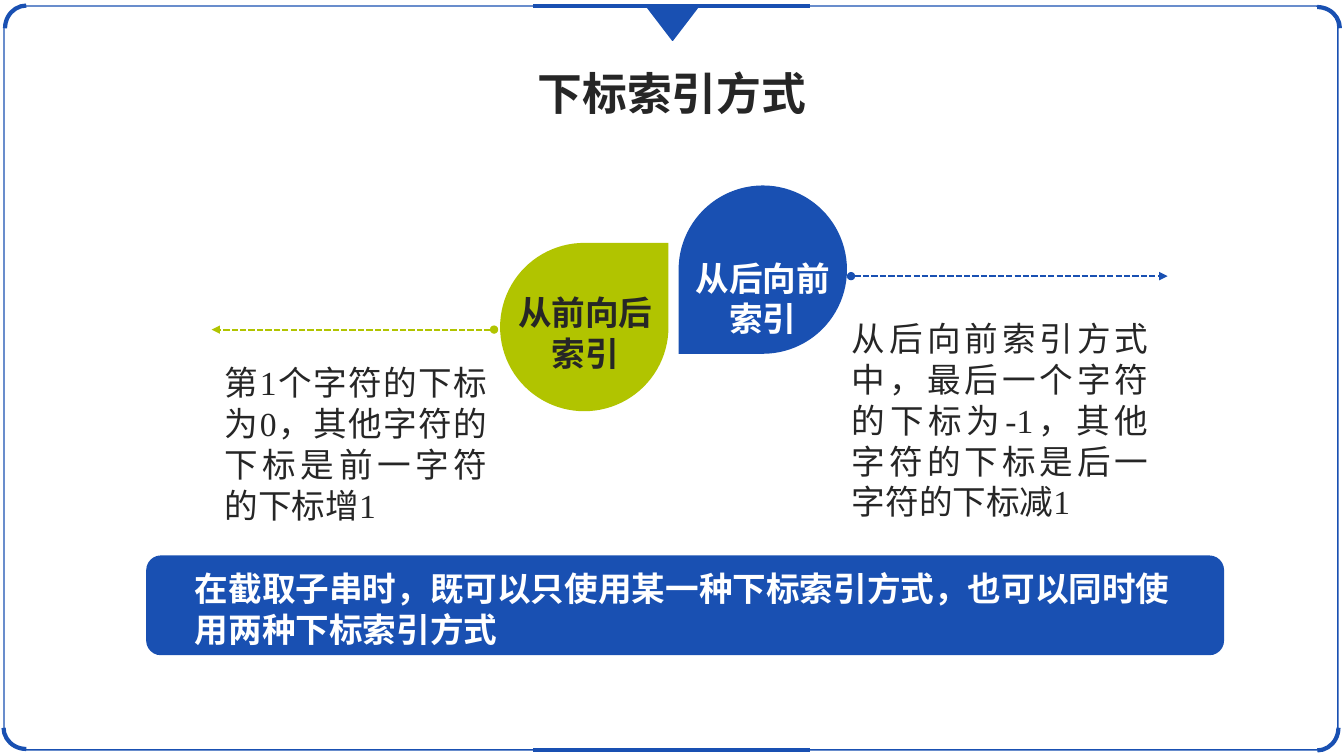
import pptx
import pptx.util
import pptx.dml.color
import pptx.enum.dml
import pptx.enum.shapes
import pptx.enum.text
import pptx.oxml
import pptx.oxml.ns

SHAPE = pptx.enum.shapes.MSO_SHAPE
ALIGN = pptx.enum.text.PP_ALIGN
ANCHOR = pptx.enum.text.MSO_ANCHOR
WIDTH, HEIGHT = pptx.util.Inches(13.33), pptx.util.Inches(7.5)
BLUE, GREEN, DARK, WHITE = "1950B2", "B1C400", "262626", "FFFFFF"
SANS, SERIF = "Noto Sans CJK SC", "Times New Roman"


def color(value):
    """Turn a hex string into a colour."""
    return pptx.dml.color.RGBColor.from_string(value)


def place(left, top, width, height):
    """Turn percentages of the slide into lengths."""
    return [round(share * side / 100) for share, side in
            zip((left, top, width, height), (WIDTH, HEIGHT) * 2)]


def apply(target, values):
    """Set every attribute named in a dict."""
    for name, value in values.items():
        setattr(target, name, value)


def add_child(parent, tag, **attributes):
    """Append a drawing element with attributes."""
    child = pptx.oxml.parse_xml(f"<a:{tag} {pptx.oxml.ns.nsdecls('a')}/>")
    for name, value in attributes.items():
        child.set(name, value)
    parent.append(child)


def write(shape, lines, text_color, size=24, font=SANS, bold=True,
          align=ALIGN.CENTER, anchor=ANCHOR.TOP, wrap=True, sides=(0.1, 0.1)):
    """Write formatted paragraphs into a shape."""
    frame = shape.text_frame
    apply(frame, {"word_wrap": wrap, "vertical_anchor": anchor,
                  "margin_left": pptx.util.Inches(sides[0]),
                  "margin_right": pptx.util.Inches(sides[1]),
                  "margin_top": pptx.util.Inches(0.08),
                  "margin_bottom": pptx.util.Inches(0.02)})
    frame.text = "\n".join(lines)
    for paragraph in frame.paragraphs:
        apply(paragraph, {"alignment": align, "line_spacing": pptx.util.Pt(size * 1.215)})
        for run in paragraph.runs:
            apply(run.font, {"name": font, "size": pptx.util.Pt(size), "bold": bold})
            run.font.color.rgb = color(text_color)
            add_child(run.font._element, "ea", typeface=SANS)


def add_figure(slide, kind, box, fill=None, line=None, weight=1, rotation=0):
    """Add a preset shape without shadow."""
    shape = slide.shapes.add_shape(kind, *place(*box))
    shape.shadow.inherit = False
    shape.rotation = rotation
    if fill:
        shape.fill.solid()
        shape.fill.fore_color.rgb = color(fill)
    else:
        shape.fill.background()
    if line:
        shape.line.color.rgb = color(line)
        shape.line.width = pptx.util.Pt(weight)
    else:
        shape.line.fill.background()
    return shape


def add_rule(slide, start, end, row, line, weight, arrow=False):
    """Add a level line, dashed and with ends for an arrow."""
    rule = slide.shapes.add_connector(pptx.enum.shapes.MSO_CONNECTOR.STRAIGHT,
                                      *place(start, row, end, row))
    rule.line.color.rgb = color(line)
    rule.line.width = pptx.util.Pt(weight)
    if arrow:
        rule.line.dash_style = pptx.enum.dml.MSO_LINE.SQUARE_DOT
        outline = rule.line._get_or_add_ln()
        add_child(outline, "headEnd", type="oval")
        add_child(outline, "tailEnd", type="triangle")
    add_child(rule._element.spPr, "effectLst")


def add_text(slide, box, lines, text_color, **options):
    """Add a text box."""
    write(slide.shapes.add_textbox(*place(*box)), lines, text_color, **options)


def add_frame(slide):
    """Draw the border, its corners, edge bars and pointer."""
    border = add_figure(slide, SHAPE.ROUNDED_RECTANGLE, (0.3, 0.8, 99.25, 98.4), line=BLUE)
    border.adjustments[0] = 0.029
    for left, top, rotation in ((0.26, 0.93, 270), (0.26, 93.47, 180),
                                (96.32, 0.93, 0), (96.32, 93.47, 90)):
        add_figure(slide, SHAPE.ARC, (left, top, 3.38, 5.6), line=BLUE,
                   weight=3, rotation=rotation)
    for row in (0.8, 99.2):
        add_rule(slide, 39.68, 60.24, row, BLUE, 3)
    add_figure(slide, SHAPE.ISOSCELES_TRIANGLE, (48.09, 0.8, 3.9, 4.53),
               fill=BLUE, line=BLUE, rotation=180)


def add_drop(slide, left, top, fill, rotation, label, label_at, text_color):
    """Add a teardrop with its label."""
    add_figure(slide, SHAPE.TEAR, (left, top, 12.53, 22.27), fill=fill, rotation=rotation)
    add_text(slide, (*label_at, 11.63, 12.13), label, text_color, wrap=False)


def main():
    """Build the slide."""
    presentation = pptx.Presentation()
    apply(presentation, {"slide_width": WIDTH, "slide_height": HEIGHT})
    slide = presentation.slides.add_slide(presentation.slide_layouts[5])
    add_frame(slide)

    title = slide.shapes.title
    apply(title, dict(zip(("left", "top", "width", "height"),
                          place(39.16, 7.6, 21.68, 8.53))))
    write(title, ["下标索引方式"], DARK, size=32, wrap=False)

    add_drop(slide, 37.21, 32.13, GREEN, 0, ["从前向后", "索引"], (37.73, 37.47), DARK)
    add_drop(slide, 50.49, 24.53, BLUE, 180, ["从后向前", "索引"], (50.94, 32.93), WHITE)
    add_rule(slide, 36.76, 15.75, 43.6, GREEN, 1.5, arrow=True)
    add_rule(slide, 63.32, 86.87, 36.53, BLUE, 1.5, arrow=True)

    body = {"font": SERIF, "bold": False, "align": ALIGN.JUSTIFY}
    add_text(slide, (15.98, 46.8, 21.01, 22.93),
             ["第1个字符的下标为0，其他字符的下标是前一字符的下标增1"], DARK, **body)
    add_text(slide, (62.64, 40.93, 23.56, 28.27),
             ["从后向前索引方式中，最后一个字符的下标为-1，其他字符的下标是后一字符的下标减1"],
             DARK, **body)

    banner = add_figure(slide, SHAPE.ROUNDED_RECTANGLE, (10.88, 73.47, 80.2, 13.2), fill=BLUE)
    banner.adjustments[0] = 0.147
    write(banner, ["在截取子串时，既可以只使用某一种下标索引方式，也可以同时使用两种下标索引方式"],
          WHITE, align=ALIGN.LEFT, anchor=ANCHOR.MIDDLE, sides=(0.44, 0.46))
    presentation.save("out.pptx")


if __name__ == "__main__":
    main()
